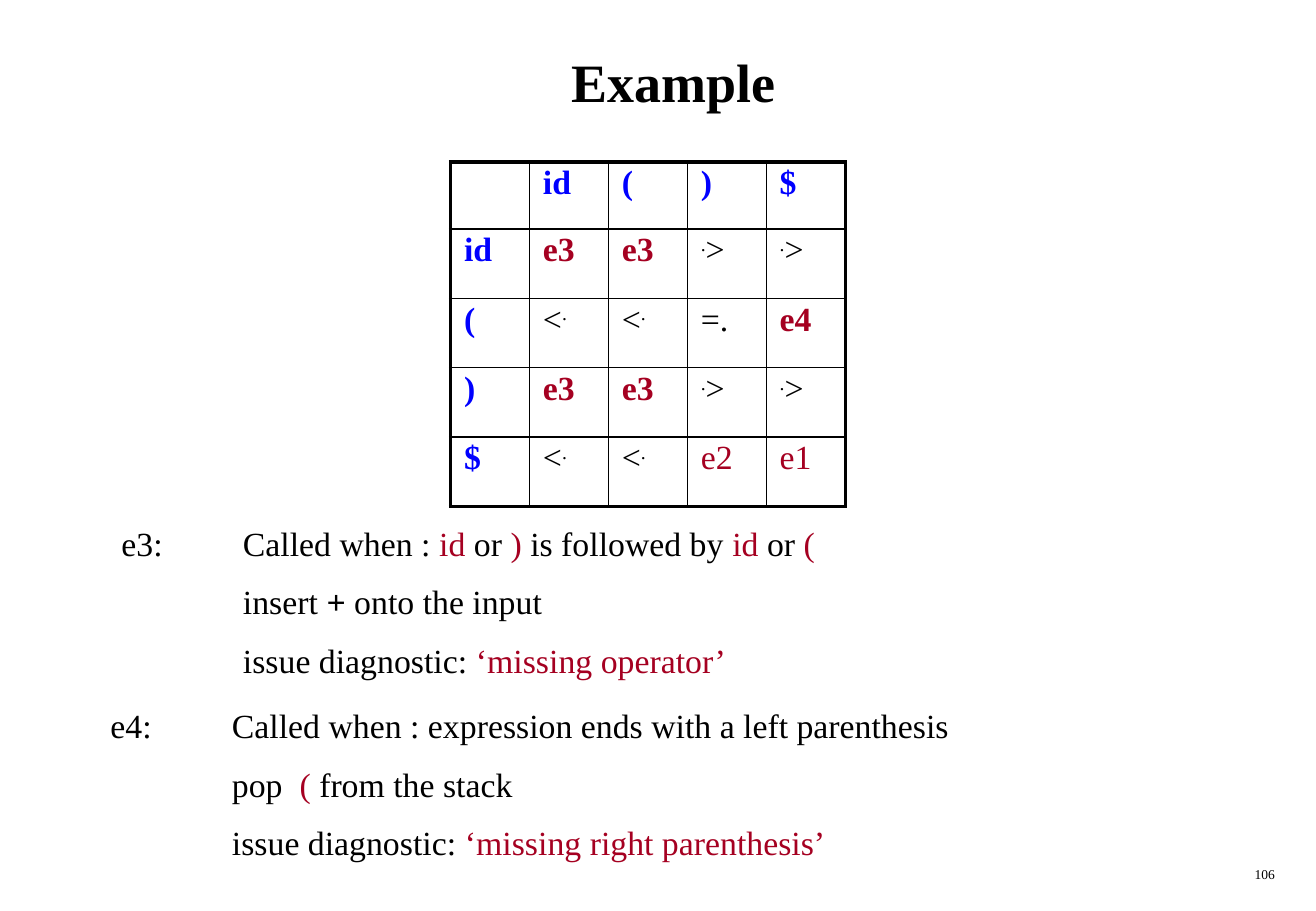
import dataclasses

import pptx
import pptx.dml.color
import pptx.enum.text
import pptx.oxml
import pptx.oxml.ns
import pptx.util

Cm = pptx.util.Cm
Pt = pptx.util.Pt


@dataclasses.dataclass(frozen=True)
class Theme:
    font: str = "Times New Roman"
    text: str = "000000"
    symbol: str = "0000FF"
    error: str = "A50021"
    title_size: float = 32
    body_size: float = 20
    number_size: float = 8
    outer_line: float = 2.25
    inner_line: float = 1


THEME = Theme()
SYMBOLS = ["id", "(", ")", "$"]
ACTIONS = [
    ["e3", "e3", ".>", ".>"],
    ["<.", "<.", "=.", "e4"],
    ["e3", "e3", ".>", ".>"],
    ["<.", "<.", "e2", "e1"],
]
E3_NOTE = [
    [("e3:\tCalled when : ", ""), ("id", "error"), (" or ", ""), (")", "error"),
     (" is followed by ", ""), ("id", "error"), (" or ", ""), ("(", "error")],
    [("insert ", ""), ("+", "bold"), (" onto the input", "")],
    [("issue diagnostic: ", ""), ("‘missing operator’", "error")],
]
E4_NOTE = [
    [("e4:\tCalled when : expression ends with a left parenthesis", "")],
    [("pop  ", ""), ("(", "error"), (" from the stack", "")],
    [("issue diagnostic: ", ""), ("‘missing right parenthesis’", "error")],
]


def format_run(run, size, color=THEME.text, bold=False):
    run.font.name = THEME.font
    run.font.size = Pt(size)
    run.font.bold = bold
    run.font.color.rgb = pptx.dml.color.RGBColor.from_string(color)


def place(shape, left, top, width, height):
    shape.left, shape.top = Cm(left), Cm(top)
    shape.width, shape.height = Cm(width), Cm(height)


def add_title(slide, text):
    title = slide.shapes.title
    place(title, 1.06, 0.42, 26.04, 2.54)
    frame = title.text_frame
    frame.text = text
    frame.vertical_anchor = pptx.enum.text.MSO_ANCHOR.MIDDLE
    paragraph = frame.paragraphs[0]
    paragraph.alignment = pptx.enum.text.PP_ALIGN.CENTER
    format_run(paragraph.runs[0], THEME.title_size, bold=True)


def add_border(cell, side, width):
    line = pptx.oxml.parse_xml(
        f'<a:{side} {pptx.oxml.ns.nsdecls("a")} w="{Pt(width)}">'
        f'<a:solidFill><a:srgbClr val="{THEME.text}"/></a:solidFill></a:{side}>'
    )
    cell._tc.get_or_add_tcPr().append(line)


def fill_cell(cell, text, color, bold):
    cell.margin_left = cell.margin_right = Cm(0.28)
    paragraph = cell.text_frame.paragraphs[0]
    paragraph.line_spacing = 0.89
    has_raised_dot = text in (".>", "<.")
    for piece in text if has_raised_dot else [text]:
        run = paragraph.add_run()
        run.text = piece
        format_run(run, THEME.body_size, color, bold)
        if has_raised_dot and piece == ".":
            run.font._element.set("baseline", "30000")


def add_precedence_table(slide):
    count = len(SYMBOLS) + 1
    last = count - 1
    rows = [[""] + SYMBOLS]
    rows += [[symbol] + actions for symbol, actions in zip(SYMBOLS, ACTIONS)]
    table = slide.shapes.add_table(
        count, count, Cm(9.42), Cm(3.39), Cm(1.65 * count), Cm(7.2)
    ).table
    table.first_row = table.horz_banding = False
    for column in table.columns:
        column.width = Cm(1.65)
    for row_index, texts in enumerate(rows):
        table.rows[row_index].height = Cm(1.45 if row_index else 1.4)
        for column_index, text in enumerate(texts):
            cell = table.cell(row_index, column_index)
            outer_sides = {
                "lnL": column_index == 0,
                "lnR": column_index == last,
                "lnT": row_index == 0,
                "lnB": row_index == last,
            }
            for side, is_outer in outer_sides.items():
                add_border(cell, side, THEME.outer_line if is_outer else THEME.inner_line)
            cell.fill.background()
            if not text:
                continue
            if row_index == 0 or column_index == 0:
                fill_cell(cell, text, THEME.symbol, True)
            elif text.startswith("e"):
                fill_cell(cell, text, THEME.error, row_index < last)
            else:
                fill_cell(cell, text, THEME.text, False)


def add_note(slide, left, top, lines):
    box = slide.shapes.add_textbox(Cm(left), Cm(top), Cm(21.56), Cm(3.63))
    frame = box.text_frame
    frame.word_wrap = True
    frame.auto_size = pptx.enum.text.MSO_AUTO_SIZE.SHAPE_TO_FIT_TEXT
    for index, pieces in enumerate(lines):
        paragraph = frame.add_paragraph() if index else frame.paragraphs[0]
        properties = paragraph._p.get_or_add_pPr()
        properties.set("marL", str(Cm(2.54)))
        properties.set("indent", str(0 if index else -Cm(2.54)))
        if index:
            paragraph.space_before = Pt(10.8)
        for text, style in pieces:
            run = paragraph.add_run()
            run.text = text
            color = THEME.error if style == "error" else THEME.text
            format_run(run, THEME.body_size, color, style == "bold")


def add_slide_number(slide, number):
    box = slide.shapes.add_textbox(Cm(21.16), Cm(17.98), Cm(5.74), Cm(0.64))
    box.text_frame.word_wrap = True
    box.text_frame.text = number
    paragraph = box.text_frame.paragraphs[0]
    paragraph.alignment = pptx.enum.text.PP_ALIGN.RIGHT
    format_run(paragraph.runs[0], THEME.number_size)


def main():
    presentation = pptx.Presentation()
    presentation.slide_width = Cm(27.51)
    presentation.slide_height = Cm(19.05)
    slide = presentation.slides.add_slide(presentation.slide_layouts[5])
    add_title(slide, "Example")
    add_precedence_table(slide)
    add_note(slide, 2.29, 10.8, E3_NOTE)
    add_note(slide, 2.06, 14.61, E4_NOTE)
    add_slide_number(slide, "106")
    presentation.save("out.pptx")


if __name__ == "__main__":
    main()
